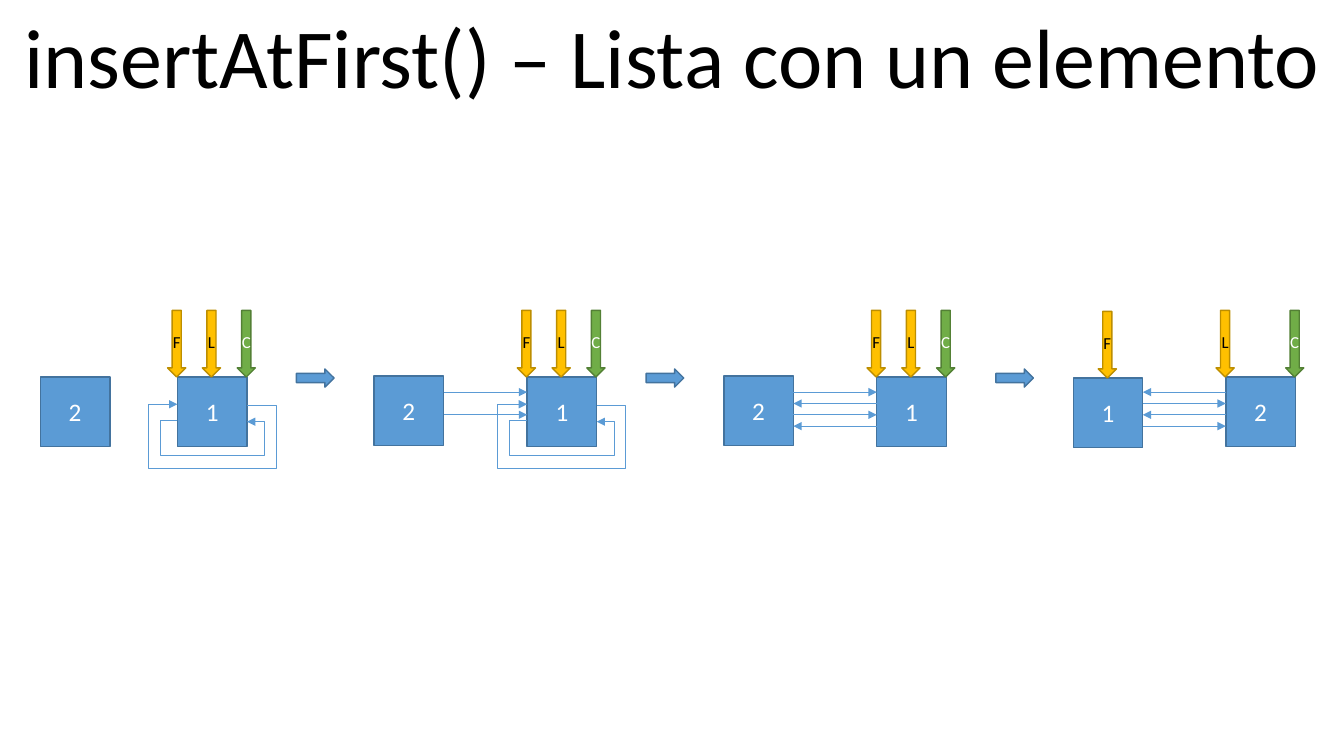
from lxml.etree import SubElement
from pptx import Presentation
from pptx.dml.color import RGBColor
from pptx.enum.shapes import MSO_CONNECTOR, MSO_SHAPE
from pptx.enum.text import MSO_ANCHOR, PP_ALIGN
from pptx.oxml.ns import qn
from pptx.util import Pt

COLORS = {
    "black": "000000", "white": "FFFFFF",
    "blue": "5B9BD5", "blue edge": "43739E",
    "gold": "FFC000", "gold edge": "BD8E00",
    "green": "70AD47", "green edge": "538035",
}
NODE = 49.7
POINTER_WIDTH, POINTER_HEIGHT = 13, 47.6
LINK_TOP, LINK_STEP = 280.1, 8.1
LOOP_RISE = 0.7
STAGE_STEP = 249.8

# Nodes: text, left, top, pointers with their place across the node's top edge.
# Links: one arrow direction per row. Loops: text of the node linked to itself.
ALL_POINTERS = {"F": 0, "L": 0.5, "C": 1}
STAGES = [
    {"nodes": [("2", 28.8, 269.3, {}), ("1", 126.7, 269.3, ALL_POINTERS)],
     "links": "", "loops": "1"},
    {"nodes": [("2", 267.1, 268.6, {}), ("1", 376.5, 269.3, ALL_POINTERS)],
     "links": "> >", "loops": "1"},
    {"nodes": [("2", 517, 268.6, {}), ("1", 626.3, 269.3, ALL_POINTERS)],
     "links": "><><", "loops": ""},
    {"nodes": [("1", 766.6, 270, {"F": 0.5}), ("2", 875.6, 269.3, {"L": 0, "C": 1})],
     "links": "<><>", "loops": ""},
]


def add_block(shapes, preset, bounds, color, text="", size=18, text_color="white"):
    """Add a filled, outlined preset shape with an optional centred label."""
    block = shapes.add_shape(preset, *[Pt(value) for value in bounds])
    block.shadow.inherit = False
    block.fill.solid()
    block.fill.fore_color.rgb = RGBColor.from_string(COLORS[color])
    block.line.color.rgb = RGBColor.from_string(COLORS[color + " edge"])
    block.line.width = Pt(1)
    if text:
        frame = block.text_frame
        frame.margin_left = frame.margin_right = 0
        frame.word_wrap = False
        frame.vertical_anchor = MSO_ANCHOR.MIDDLE
        para = frame.paragraphs[0]
        para.alignment = PP_ALIGN.CENTER
        span = para.add_run()
        span.text = text
        span.font.name = "Calibri"
        span.font.size = Pt(size)
        span.font.color.rgb = RGBColor.from_string(COLORS[text_color])


def add_arrow(shapes, start, end, bends=()):
    """Add an arrow; bends are the three ratios of a five-part elbow."""
    kind = MSO_CONNECTOR.ELBOW if bends else MSO_CONNECTOR.STRAIGHT
    arrow = shapes.add_connector(kind, *[Pt(value) for value in (*start, *end)])
    arrow.line.color.rgb = RGBColor.from_string(COLORS["blue"])
    arrow.line.width = Pt(0.5)
    properties = arrow._element.spPr
    SubElement(properties.find(qn("a:ln")), qn("a:tailEnd"), type="triangle")
    SubElement(properties, qn("a:effectLst"))
    if bends:
        geometry = properties.find(qn("a:prstGeom"))
        geometry.set("prst", "bentConnector5")
        for number, ratio in enumerate(bends, 1):
            SubElement(geometry.find(qn("a:avLst")), qn("a:gd"),
                       name=f"adj{number}", fmla=f"val {round(ratio * 100000)}")


deck = Presentation()
deck.slide_width, deck.slide_height = Pt(960), Pt(540)
page = deck.slides.add_slide(deck.slide_layouts[6])

title = page.shapes.add_textbox(Pt(0.7), Pt(0), Pt(959), Pt(80))
title.text_frame.word_wrap = True
para = title.text_frame.paragraphs[0]
para.alignment = PP_ALIGN.CENTER
span = para.add_run()
span.text = "insertAtFirst() – Lista con un elemento"
span.font.name = "Calibri"
span.font.size = Pt(60)
span.font.color.rgb = RGBColor.from_string(COLORS["black"])

for stage in STAGES:
    shapes = page.shapes.add_group_shape().shapes
    for text, left, top, pointers in stage["nodes"]:
        right = left + NODE
        add_block(shapes, MSO_SHAPE.RECTANGLE, (left, top, NODE, NODE), "blue", text)
        for label, place in pointers.items():
            bounds = (left + place * NODE - POINTER_WIDTH / 2 - 0.5, top - POINTER_HEIGHT,
                      POINTER_WIDTH, POINTER_HEIGHT)
            color, text_color = ("green", "white") if label == "C" else ("gold", "black")
            add_block(shapes, MSO_SHAPE.DOWN_ARROW, bounds, color, label, 12, text_color)
        if text in stage["loops"]:
            inner, outer = top + 31.2, top + 20.2
            add_arrow(shapes, (left, inner), (right, inner + LOOP_RISE),
                      (-0.25, 24.5 / LOOP_RISE, 1.25))
            add_arrow(shapes, (right, outer), (left, outer - LOOP_RISE),
                      (-0.42, -44.4 / LOOP_RISE, 1.42))

    gap_left, gap_right = stage["nodes"][0][1] + NODE, stage["nodes"][1][1]
    for row, direction in enumerate(stage["links"]):
        height = LINK_TOP + row * LINK_STEP
        ends = [(gap_left, height), (gap_right, height)]
        if direction == ">":
            add_arrow(shapes, *ends)
        elif direction == "<":
            add_arrow(shapes, *reversed(ends))

for step in range(len(STAGES) - 1):
    add_block(page.shapes, MSO_SHAPE.RIGHT_ARROW,
              (211.7 + step * STAGE_STEP, 263.5, 26.9, 13), "blue")

deck.save("out.pptx")
